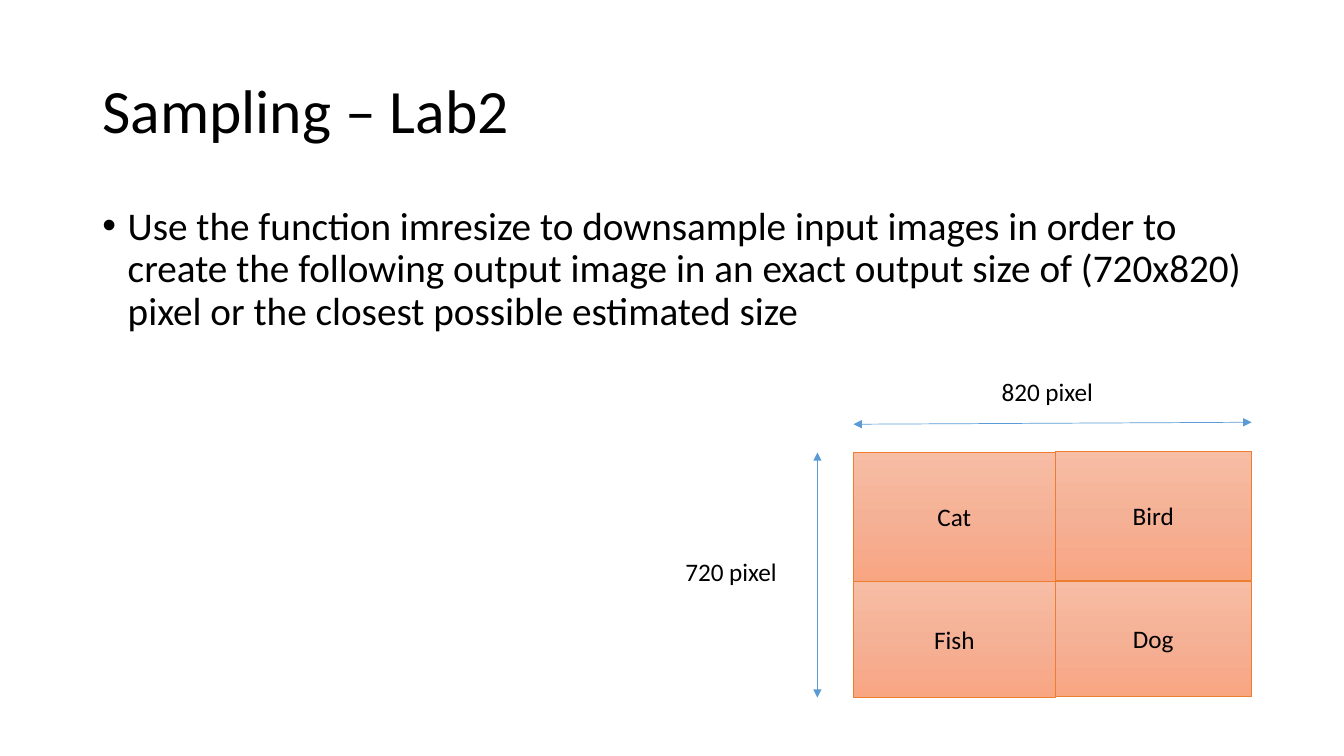
from copy import deepcopy
from dataclasses import dataclass

from lxml.etree import SubElement
from pptx import Presentation
from pptx.dml.color import RGBColor
from pptx.enum.shapes import MSO_CONNECTOR, MSO_SHAPE
from pptx.enum.text import MSO_ANCHOR, MSO_AUTO_SIZE, PP_ALIGN
from pptx.oxml.ns import qn
from pptx.slide import Slide
from pptx.text.text import _Paragraph
from pptx.util import Cm, Pt

FONT = "Calibri"
BLACK, ORANGE, BLUE = "000000", "ED7D31", "5B9BD5"
GRADIENT = ((0, "F7BDA5"), (0.5, "F5B196"), (1, "F8A582"))
LEFT_COLUMN, RIGHT_COLUMN = (21.51, 5.08), (26.59, 4.95)
TOP_HEIGHT, BOTTOM_HEIGHT = 3.25, 2.92


@dataclass
class Tile:
    """One animal cell of the output image, in centimetres."""
    text: str
    column: tuple[float, float]
    top: float
    height: float


@dataclass
class Dimension:
    """A measuring arrow with its label, in centimetres."""
    text: str
    start: tuple[float, float]
    end: tuple[float, float]
    label: tuple[float, float]


TILES = (
    Tile("Cat", LEFT_COLUMN, 11.4, TOP_HEIGHT),
    Tile("Dog", RIGHT_COLUMN, 14.64, BOTTOM_HEIGHT),
    Tile("Bird", RIGHT_COLUMN, 11.37, TOP_HEIGHT),
    Tile("Fish", LEFT_COLUMN, 14.66, BOTTOM_HEIGHT),
)
DIMENSIONS = (
    Dimension("820 pixel", (21.51, 10.69), (31.54, 10.64), (24.99, 9.35)),
    Dimension("720 pixel", (20.6, 11.4), (20.6, 17.58), (17.02, 13.89)),
)


def color(value: str) -> RGBColor:
    """Turn a hex string into a colour."""
    return RGBColor.from_string(value)


def write(paragraph: _Paragraph, text: str, size: int) -> None:
    """Fill a paragraph with text in the slide's font."""
    paragraph.text = text
    paragraph.font.name = FONT
    paragraph.font.size = Pt(size)
    paragraph.font.color.rgb = color(BLACK)


def add_title(slide: Slide, text: str) -> None:
    """Place and format the title placeholder."""
    title = slide.shapes.title
    title.left, title.top, title.width, title.height = Cm(2.33), Cm(1.01), Cm(29.21), Cm(3.68)
    frame = title.text_frame
    frame.auto_size = MSO_AUTO_SIZE.NONE
    frame.vertical_anchor = MSO_ANCHOR.MIDDLE
    paragraph = frame.paragraphs[0]
    paragraph.alignment = PP_ALIGN.LEFT
    paragraph.line_spacing = 0.9
    write(paragraph, text, 44)


def add_task(slide: Slide, text: str) -> None:
    """Add the bulleted task description."""
    frame = slide.shapes.add_textbox(Cm(2.33), Cm(5.08), Cm(29.21), Cm(3.48)).text_frame
    frame.word_wrap = True
    paragraph = frame.paragraphs[0]
    paragraph.line_spacing = 0.9
    properties = paragraph._p.get_or_add_pPr()
    properties.set("marL", str(Cm(0.64)))
    properties.set("indent", str(Cm(-0.64)))
    SubElement(properties, qn("a:buFont"), typeface="Arial")
    SubElement(properties, qn("a:buChar"), char="•")
    write(paragraph, text, 28)


def add_tile(slide: Slide, tile: Tile) -> None:
    """Add one gradient rectangle with its animal name."""
    left, width = tile.column
    shape = slide.shapes.add_shape(
        MSO_SHAPE.RECTANGLE, Cm(left), Cm(tile.top), Cm(width), Cm(tile.height))
    shape.shadow.inherit = False
    shape.line.color.rgb = color(ORANGE)
    shape.line.width = Pt(0.5)
    shape.fill.gradient()
    shape.fill.gradient_angle = 270
    stop_list = shape._element.spPr.find(f".//{qn('a:gsLst')}")
    stop_list.append(deepcopy(stop_list[0]))
    for stop, (position, value) in zip(shape.fill.gradient_stops, GRADIENT):
        stop.position = position
        stop.color.rgb = color(value)
    shape.text_frame.vertical_anchor = MSO_ANCHOR.MIDDLE
    paragraph = shape.text_frame.paragraphs[0]
    paragraph.alignment = PP_ALIGN.CENTER
    write(paragraph, tile.text, 18)


def add_dimension(slide: Slide, dimension: Dimension) -> None:
    """Add a double-headed arrow and its label."""
    ends = (Cm(value) for value in dimension.start + dimension.end)
    connector = slide.shapes.add_connector(MSO_CONNECTOR.STRAIGHT, *ends)
    connector.line.color.rgb = color(BLUE)
    connector.line.width = Pt(0.5)
    line = connector.line._get_or_add_ln()
    for end in ("a:headEnd", "a:tailEnd"):
        SubElement(line, qn(end), type="triangle")
    SubElement(connector._element.spPr, qn("a:effectLst"))
    left, top = dimension.label
    frame = slide.shapes.add_textbox(Cm(left), Cm(top), Cm(3.05), Cm(1.02)).text_frame
    frame.word_wrap = True
    write(frame.paragraphs[0], dimension.text, 18)


def main() -> None:
    """Build and save the slide."""
    presentation = Presentation()
    presentation.slide_width, presentation.slide_height = Cm(33.87), Cm(19.05)
    slide = presentation.slides.add_slide(presentation.slide_layouts.get_by_name("Title Only"))
    add_title(slide, "Sampling – Lab2")
    add_task(slide, "Use the function imresize to downsample input images in order to create "
                    "the following output image in an exact output size of (720x820) pixel "
                    "or the closest possible estimated size")
    for tile in TILES:
        add_tile(slide, tile)
    for dimension in DIMENSIONS:
        add_dimension(slide, dimension)
    presentation.save("out.pptx")


if __name__ == "__main__":
    main()
